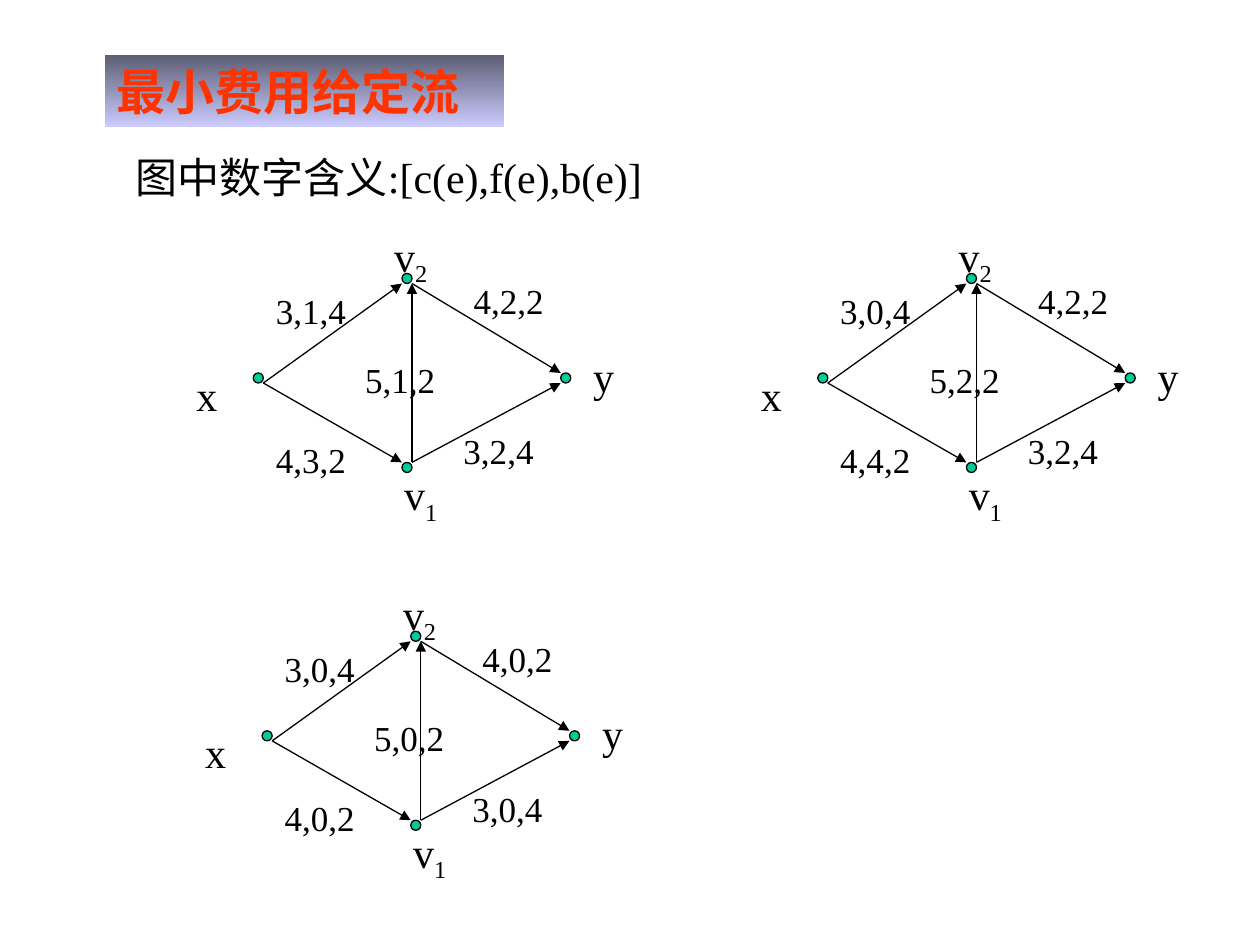
import pptx
import pptx.util
import pptx.dml.color
import pptx.enum.shapes
import pptx.enum.text
import lxml.etree

Inches = pptx.util.Inches
Pt = pptx.util.Pt


def color(value):
    return pptx.dml.color.RGBColor.from_string(value)


def write(box, text, size, value="000000", bold=False, subscript=""):
    frame = box.text_frame
    frame.word_wrap = True
    frame.auto_size = pptx.enum.text.MSO_AUTO_SIZE.SHAPE_TO_FIT_TEXT
    frame.vertical_anchor = pptx.enum.text.MSO_ANCHOR.TOP
    para = frame.paragraphs[0]
    para.alignment = pptx.enum.text.PP_ALIGN.LEFT
    for part in filter(None, (text, subscript)):
        span = para.add_run()
        span.text = part
        span.font.name = "Times New Roman"
        span.font.size = Pt(size)
        span.font.bold = bold
        span.font.color.rgb = color(value)
    if subscript:
        span.font._element.set("baseline", "-25000")


deck = pptx.Presentation()
deck.slide_width = Inches(10)
deck.slide_height = Inches(7.5)
page = deck.slides.add_slide(deck.slide_layouts[6])

title = page.shapes.add_shape(
    pptx.enum.shapes.MSO_SHAPE.RECTANGLE,
    Inches(0.83), Inches(0.44), Inches(3.17), Inches(0.57))
title.shadow.inherit = False
title.line.fill.background()
title.fill.gradient()
title.fill.gradient_angle = 270
for stop, position, value in zip(title.fill.gradient_stops, (0, 1), ("5E5E75", "CCCCFF")):
    stop.position = position
    stop.color.rgb = color(value)
write(title, "最小费用给定流", 28, "FF3300", True)

node_size = 0.08
nodes = [(1.73, 0.39), (1.73, 1.89), (0.55, 1.18), (2.99, 1.18)]
edges = [
    (0.63, 1.26, 1.73, 0.47),
    (1.81, 0.47, 2.99, 1.18),
    (1.81, 1.89, 2.99, 1.26),
    (0.63, 1.26, 1.73, 1.89),
    (1.81, 1.89, 1.81, 0.47),
]
node_labels = [
    ("x", "", 0, 1.1, 0.31, 0.5),
    ("v", "1", 1.65, 1.89, 0.55, 0.56),
    ("v", "2", 1.57, 0, 0.55, 0.56),
    ("y", "", 3.15, 0.95, 0.47, 0.5),
]
weight_places = [(0.63, 0.47), (1.34, 1.02), (0.63, 1.65), (2.12, 1.58), (2.2, 0.39)]
networks = [
    (5.94, 1.78, ["3,0,4", "5,2,2", "4,4,2", "3,2,4", "4,2,2"]),
    (1.53, 4.62, ["3,0,4", "5,0,2", "4,0,2", "3,0,4", "4,0,2"]),
    (1.46, 1.78, ["3,1,4", "5,1,2", "4,3,2", "3,2,4", "4,2,2"]),
]

for left, top, weights in networks:
    network = page.shapes.add_group_shape().shapes
    for x, y in nodes:
        node = network.add_shape(
            pptx.enum.shapes.MSO_SHAPE.OVAL,
            Inches(left + x), Inches(top + y), Inches(node_size), Inches(node_size))
        node.shadow.inherit = False
        node.fill.solid()
        node.fill.fore_color.rgb = color("00CC99")
        node.line.color.rgb = color("000000")
        node.line.width = Pt(0.75)
    for x1, y1, x2, y2 in edges:
        edge = network.add_connector(
            pptx.enum.shapes.MSO_CONNECTOR.STRAIGHT,
            Inches(left + x1), Inches(top + y1), Inches(left + x2), Inches(top + y2))
        edge.line.color.rgb = color("000000")
        edge.line.width = Pt(0.75)
        outline = edge.line._get_or_add_ln()
        lxml.etree.SubElement(outline, pptx.oxml.ns.qn("a:tailEnd"), type="triangle")
        lxml.etree.SubElement(outline.getparent(), pptx.oxml.ns.qn("a:effectLst"))
    for text, subscript, x, y, width, height in node_labels:
        label = network.add_textbox(
            Inches(left + x), Inches(top + y), Inches(width), Inches(height))
        write(label, text, 24, subscript=subscript)
    for text, (x, y) in zip(weights, weight_places):
        label = network.add_textbox(
            Inches(left + x), Inches(top + y), Inches(1.02), Inches(0.44))
        write(label, text, 20)

legend = page.shapes.add_textbox(Inches(0.98), Inches(1.15), Inches(4.41), Inches(0.5))
write(legend, "图中数字含义:[c(e),f(e),b(e)]", 24)

deck.save("out.pptx")
